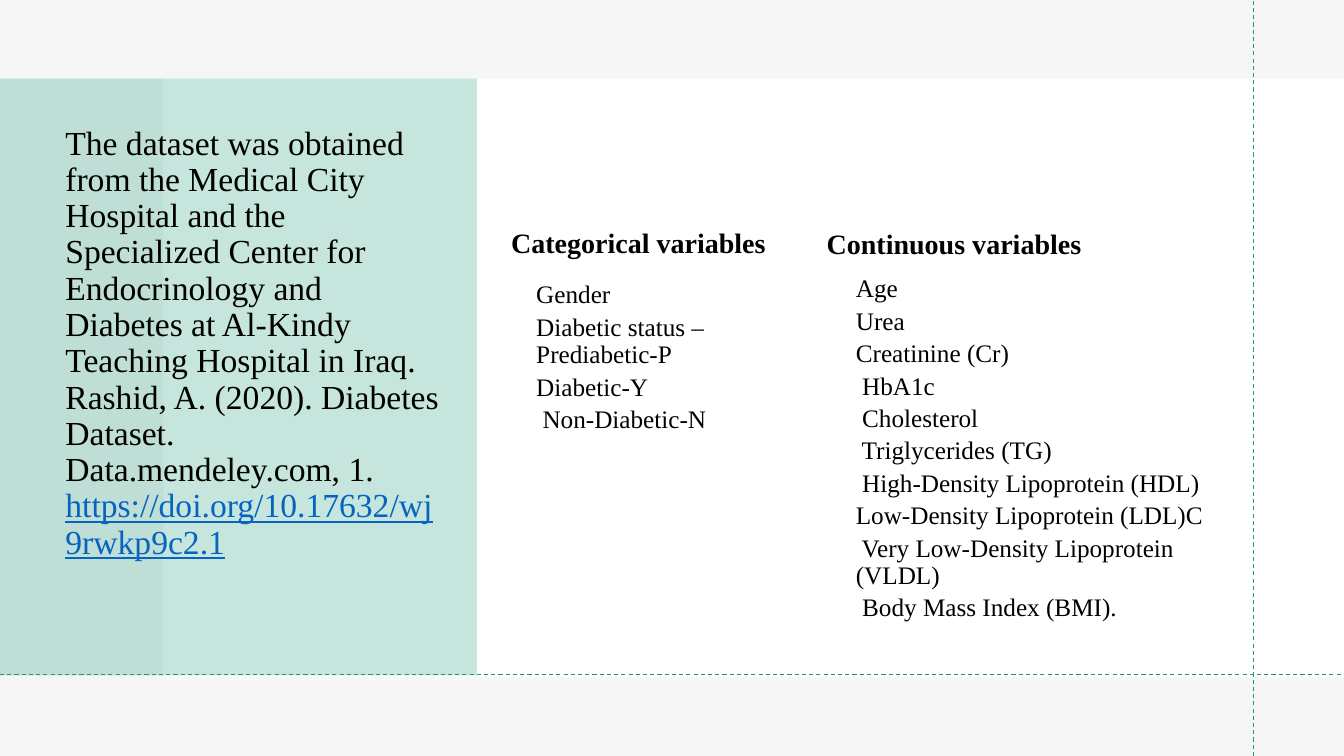
from dataclasses import dataclass

import pptx
import pptx.dml.color
import pptx.enum.dml
import pptx.enum.shapes
import pptx.enum.text
import pptx.oxml
import pptx.oxml.ns
import pptx.slide
import pptx.text.text
import pptx.util
from pptx.util import Inches

COLORS = {
    "white": "FFFFFF",
    "grey": "E7E6E6",
    "green": "1D9A78",
    "text": "000000",
    "link": "0563C1",
}
FONT = "Times New Roman"
WIDTH, HEIGHT = 13.33, 7.5


@dataclass
class Panel:
    left: float
    top: float
    width: float
    height: float
    color: str
    opacity: int = 100


@dataclass
class Guide:
    start: tuple[float, float]
    end: tuple[float, float]


@dataclass
class TextBlock:
    left: float
    top: float
    width: float
    height: float
    lines: list[str]
    size: int = 18
    bold: bool = False
    line_spacing: float = 0.9


PANELS = [
    Panel(0, 0, WIDTH, HEIGHT, "white"),
    Panel(0, 0, WIDTH, HEIGHT, "grey", 35),
    Panel(1.62, 0.78, 11.71, 5.94, "white"),
    Panel(0, 0.78, 4.73, 5.92, "green", 25),
]
GUIDES = [
    Guide((12.43, HEIGHT), (12.43, 0)),
    Guide((0, 6.69), (WIDTH, 6.69)),
]
SOURCE = TextBlock(0.55, 0.74, 3.95, 5.34, [
    "The dataset was obtained from the Medical City Hospital and the "
    "Specialized Center for Endocrinology and Diabetes at Al-Kindy "
    "Teaching Hospital in Iraq.\v"
    "Rashid, A. (2020). Diabetes Dataset. Data.mendeley.com, 1. ",
], size=24)
SOURCE_LINK = "https://doi.org/10.17632/wj9rwkp9c2.1"
VARIABLES = [
    TextBlock(4.97, 2.19, 2.81, 0.64, ["Categorical variables"], 20, True, 1.0),
    TextBlock(5.22, 2.75, 2.11, 1.89, [
        "Gender",
        "Diabetic status – Prediabetic-P",
        "Diabetic-Y",
        " Non-Diabetic-N",
    ]),
    TextBlock(8.1, 2.24, 5.04, 0.28, ["Continuous variables"], 20, True),
    TextBlock(8.39, 2.69, 3.78, 3.47, [
        "Age",
        "Urea",
        "Creatinine (Cr)",
        " HbA1c",
        " Cholesterol",
        " Triglycerides (TG)",
        " High-Density Lipoprotein (HDL)",
        "Low-Density Lipoprotein (LDL)C",
        " Very Low-Density Lipoprotein (VLDL)",
        " Body Mass Index (BMI).",
    ]),
]


def rgb(name: str) -> pptx.dml.color.RGBColor:
    return pptx.dml.color.RGBColor.from_string(COLORS[name])


def add_panel(slide: pptx.slide.Slide, panel: Panel) -> None:
    shape = slide.shapes.add_shape(
        pptx.enum.shapes.MSO_SHAPE.RECTANGLE,
        Inches(panel.left), Inches(panel.top),
        Inches(panel.width), Inches(panel.height),
    )
    shape.shadow.inherit = False
    shape.fill.solid()
    shape.fill.fore_color.rgb = rgb(panel.color)
    shape.line.fill.background()
    if panel.opacity < 100:
        color = shape.fill._xPr.find(".//" + pptx.oxml.ns.qn("a:srgbClr"))
        alpha = pptx.oxml.parse_xml(
            f'<a:alpha {pptx.oxml.ns.nsdecls("a")} val="{panel.opacity * 1000}"/>'
        )
        color.append(alpha)


def add_guide(slide: pptx.slide.Slide, guide: Guide) -> None:
    connector = slide.shapes.add_connector(
        pptx.enum.shapes.MSO_CONNECTOR.STRAIGHT,
        *(Inches(value) for value in guide.start + guide.end),
    )
    connector.line.color.rgb = rgb("green")
    connector.line.width = pptx.util.Pt(0.75)
    connector.line.dash_style = pptx.enum.dml.MSO_LINE.DASH
    connector._element.spPr.append(
        pptx.oxml.parse_xml(f'<a:effectLst {pptx.oxml.ns.nsdecls("a")}/>')
    )


def add_text(slide: pptx.slide.Slide, block: TextBlock) -> pptx.text.text.TextFrame:
    box = slide.shapes.add_textbox(
        Inches(block.left), Inches(block.top),
        Inches(block.width), Inches(block.height),
    )
    frame = box.text_frame
    frame.word_wrap = True
    for index, line in enumerate(block.lines):
        paragraph = frame.add_paragraph() if index else frame.paragraphs[0]
        paragraph.text = line
        paragraph.line_spacing = block.line_spacing
        paragraph.space_after = pptx.util.Pt(3.7)
        paragraph.font.name = FONT
        paragraph.font.size = pptx.util.Pt(block.size)
        paragraph.font.bold = block.bold
        paragraph.font.color.rgb = rgb("text")
    return frame


def add_source(slide: pptx.slide.Slide) -> None:
    frame = add_text(slide, SOURCE)
    frame.vertical_anchor = pptx.enum.text.MSO_ANCHOR.MIDDLE
    link = frame.paragraphs[0].add_run()
    link.text = SOURCE_LINK
    link.font.underline = True
    link.font.color.rgb = rgb("link")


def main() -> None:
    presentation = pptx.Presentation()
    presentation.slide_width = Inches(WIDTH)
    presentation.slide_height = Inches(HEIGHT)
    slide = presentation.slides.add_slide(presentation.slide_layouts[6])
    for panel in PANELS:
        add_panel(slide, panel)
    add_source(slide)
    for guide in GUIDES:
        add_guide(slide, guide)
    for block in VARIABLES:
        add_text(slide, block)
    presentation.save("out.pptx")


if __name__ == "__main__":
    main()
